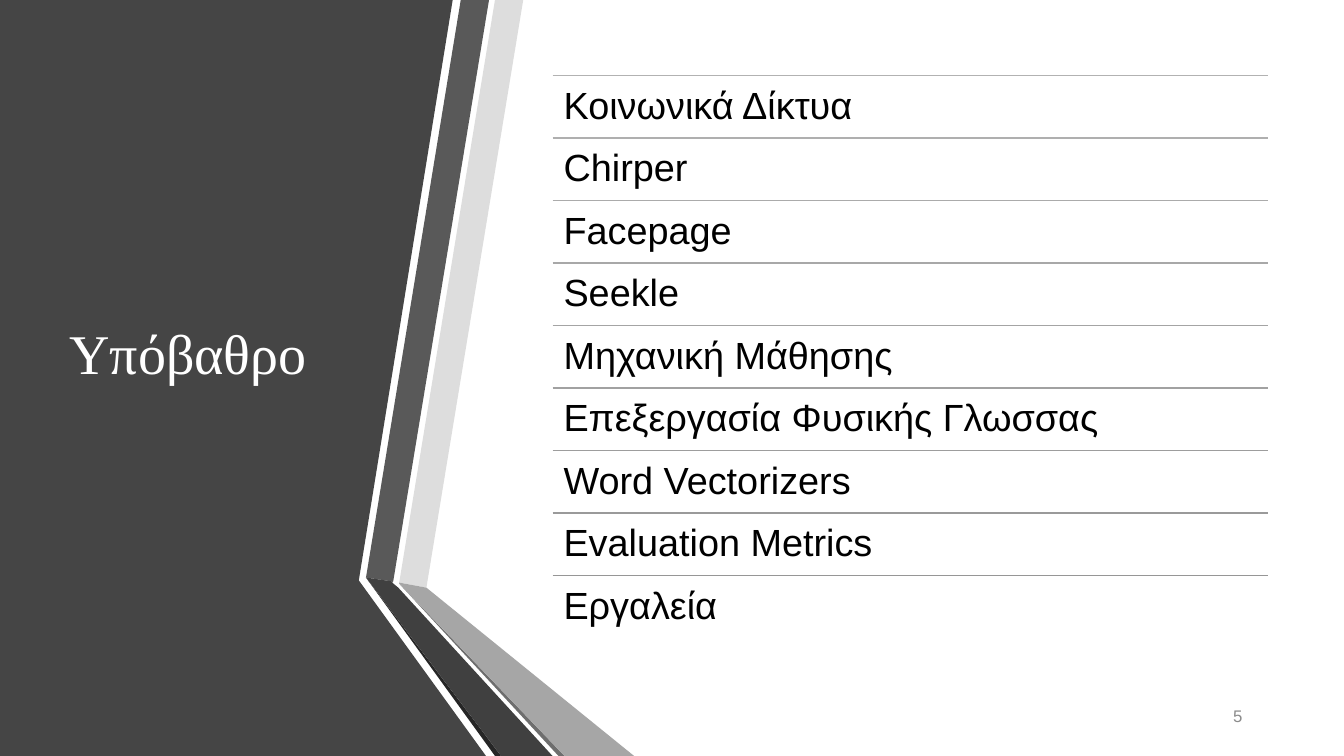
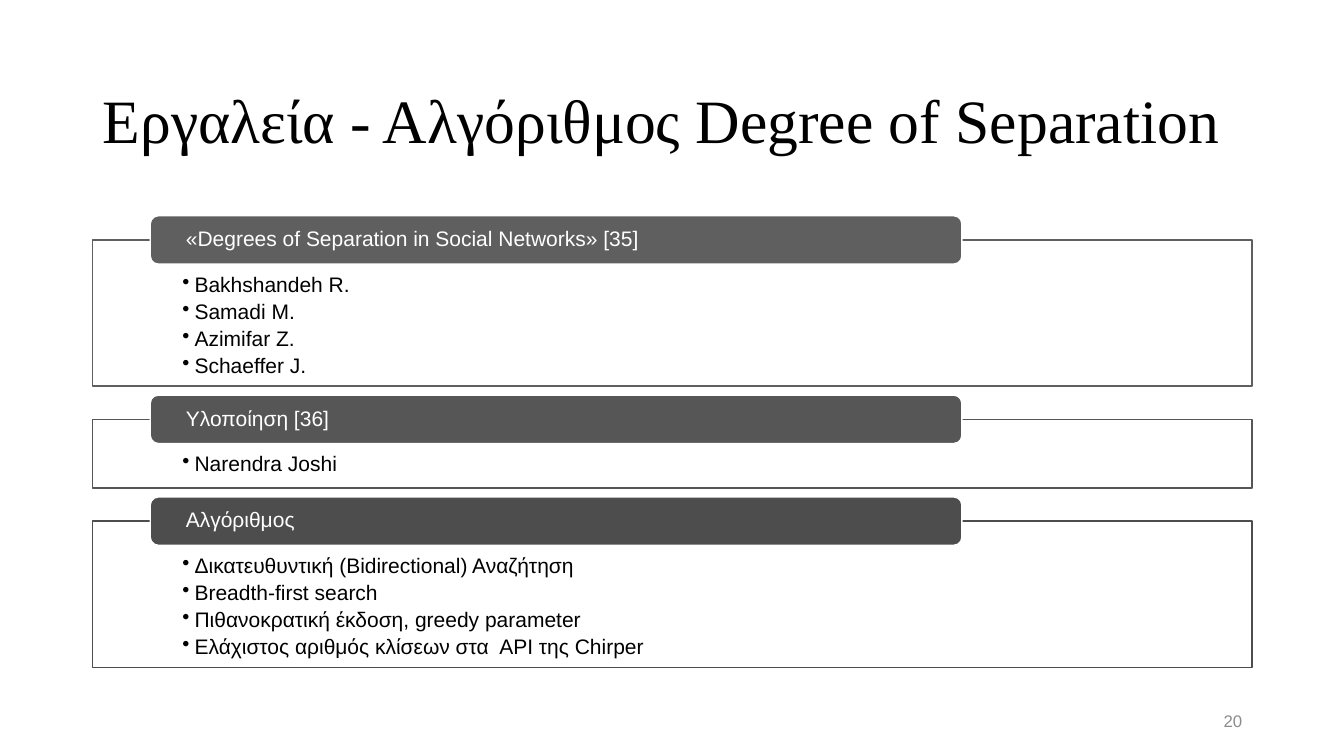
from lxml.etree import SubElement
from pptx import Presentation
from pptx.dml.color import RGBColor
from pptx.enum.shapes import MSO_CONNECTOR, MSO_SHAPE
from pptx.enum.text import MSO_ANCHOR as Anchor, MSO_AUTO_SIZE as AutoSize, PP_ALIGN as Align
from pptx.oxml.ns import qn
from pptx.util import Pt

PX = 9144  # one px is a hundredth of an inch
BLACK, WHITE, MUTED = "000000", "FFFFFF", "8C8C8C"
TITLE_FONT, BODY_FONT = "Times New Roman", "Arial"
BULLET_INDENT = 12 * PX


def color(value):
    return RGBColor.from_string(value)


def write(shape, lines, ink, font, insets=(10, 5, 10, 5), anchor=Anchor.TOP,
          spacing=None, bullet=None):
    """Fill a shape with one formatted paragraph per line."""
    frame = shape.text_frame
    sides = ("margin_left", "margin_top", "margin_right", "margin_bottom")
    formats = {side: inset * PX for side, inset in zip(sides, insets)}
    formats |= {"word_wrap": True, "auto_size": AutoSize.NONE, "vertical_anchor": anchor}
    for name, value in formats.items():
        setattr(frame, name, value)
    for index, line in enumerate(lines):
        para = frame.add_paragraph() if index else frame.paragraphs[0]
        if bullet:
            properties = para._p.get_or_add_pPr()
            properties.set("marL", str(BULLET_INDENT))
            properties.set("indent", str(-BULLET_INDENT))
            SubElement(properties, qn("a:buChar")).set("char", bullet)
        for name, value in ({"alignment": Align.LEFT} | (spacing or {})).items():
            setattr(para, name, value)
        span = para.add_run()
        span.text = line
        for name, value in font.items():
            setattr(span.font, name, value)
        span.font.color.rgb = color(ink)


deck = Presentation()
deck.slide_width, deck.slide_height = 1333 * PX, 750 * PX

# Shared parts: title and page number
PAGES = [
    ("Υπόβαθρο", (59, 75, 304, 558), 40, WHITE, "5", 690),
    ("Εργαλεία - Αλγόριθμος Degree of Separation", (92, 61, 1150, 124), 44, BLACK, "20", 695),
]
for heading, area, size, ink, number, number_top in PAGES:
    page = deck.slides.add_slide(deck.slide_layouts[5])
    title = page.shapes.title
    for name, value in zip(("left", "top", "width", "height"), area):
        setattr(title, name, value * PX)
    write(title, [heading], ink, {"name": TITLE_FONT, "size": Pt(size)},
          anchor=Anchor.MIDDLE, spacing={"line_spacing": 0.9})
    box = page.shapes.add_textbox(1123 * PX, number_top * PX, 119 * PX, 40 * PX)
    write(box, [number], MUTED, {"name": BODY_FONT, "size": Pt(12)}, anchor=Anchor.MIDDLE,
          spacing={"alignment": Align.RIGHT, "space_after": Pt(6)})

agenda_page, tools_page = deck.slides

# Agenda: folded ribbon on the left
RIBBON = [
    ("454545", [(353, 0), (449, 0), (356, 575), (356, 576), (482, 750), (0, 750), (0, 0)]),
    ("DDDDDD", [(396, 578), (423, 583), (519, 0), (491, 0)]),
    ("595959", [(485, 0), (457, 0), (363, 573), (390, 577)]),
    ("262626", [(363, 573), (491, 750), (497, 750)]),
    ("6E6E6E", [(396, 579), (554, 750), (560, 750)]),
    ("A6A6A6", [(396, 579), (560, 750), (629, 750), (423, 583), (396, 578)]),
    ("404040", [(548, 750), (395, 583), (389, 578), (390, 577), (363, 573), (497, 750)]),
]
for shade, points in RIBBON:
    outline = agenda_page.shapes.build_freeform(*points[0], scale=PX)
    outline.add_line_segments(points[1:], close=True)
    facet = outline.convert_to_shape()
    facet.shadow.inherit = False
    facet.fill.solid()
    facet.fill.fore_color.rgb = color(shade)
    facet.line.fill.background()

# The title lies over the ribbon
agenda_page.shapes._spTree.append(agenda_page.shapes.title.element)

# Agenda: ruled list, rules darkening downwards
TOPICS = [
    "Κοινωνικά Δίκτυα", "Chirper", "Facepage", "Seekle", "Μηχανική Μάθησης",
    "Επεξεργασία Φυσικής Γλωσσας", "Word Vectorizers", "Evaluation Metrics", "Εργαλεία",
]
LIST_LEFT, LIST_TOP, LIST_WIDTH, ROW = 548, 75, 710, 62
for index, topic in enumerate(TOPICS):
    top = LIST_TOP + index * ROW
    rule = agenda_page.shapes.add_connector(
        MSO_CONNECTOR.STRAIGHT, LIST_LEFT * PX, top * PX, (LIST_LEFT + LIST_WIDTH) * PX, top * PX)
    SubElement(rule.element.spPr, qn("a:effectLst"))
    rule.line.color.rgb = color(f"{int(178.5 - 3.5 * index):02X}" * 3)
    rule.line.width = Pt(1)
    box = agenda_page.shapes.add_textbox(LIST_LEFT * PX, top * PX, LIST_WIDTH * PX, ROW * PX)
    write(box, [topic], BLACK, {"name": BODY_FONT, "size": Pt(27)}, insets=(11, 11, 11, 11),
          spacing={"line_spacing": 0.9})

# Tools: framed panels, each with a tab over its top edge
SECTIONS = [
    ("«Degrees of Separation in Social Networks» [35]", "5F5F5F", 145,
     ["Bakhshandeh R.", "Samadi M.", "Azimifar Z.", "Schaeffer J."]),
    ("Υλοποίηση [36]", "565656", 68, ["Narendra Joshi"]),
    ("Αλγόριθμος", "4D4D4D", 145,
     ["Δικατευθυντική (Bidirectional) Αναζήτηση", "Breadth-first search",
      "Πιθανοκρατική έκδοση, greedy parameter",
      "Ελάχιστος αριθμός κλίσεων στα  ΑPI της Chirper"]),
]
PANEL_GAP, TAB_HEIGHT = 33, 48
SECTION_FONT = {"name": BODY_FONT, "size": Pt(15)}
top = 238
for heading, shade, height, items in SECTIONS:
    panel = tools_page.shapes.add_shape(
        MSO_SHAPE.RECTANGLE, 92 * PX, top * PX, 1150 * PX, height * PX)
    tab = tools_page.shapes.add_shape(
        MSO_SHAPE.ROUNDED_RECTANGLE, 149 * PX, (top - TAB_HEIGHT // 2) * PX,
        805 * PX, TAB_HEIGHT * PX)
    for shape, fill, edge in ((panel, WHITE, shade), (tab, shade, WHITE)):
        shape.shadow.inherit = False
        shape.fill.solid()
        shape.fill.fore_color.rgb = color(fill)
        shape.line.color.rgb = color(edge)
        shape.line.width = Pt(1)
    write(panel, items, BLACK, SECTION_FONT, insets=(89, 34, 89, 12), bullet="•",
          spacing={"line_spacing": 0.9, "space_after": Pt(3)})
    write(tab, [heading], WHITE, SECTION_FONT, insets=(33, 0, 33, 0), anchor=Anchor.MIDDLE,
          spacing={"line_spacing": 0.9})
    top += height + PANEL_GAP

deck.save("out.pptx")
